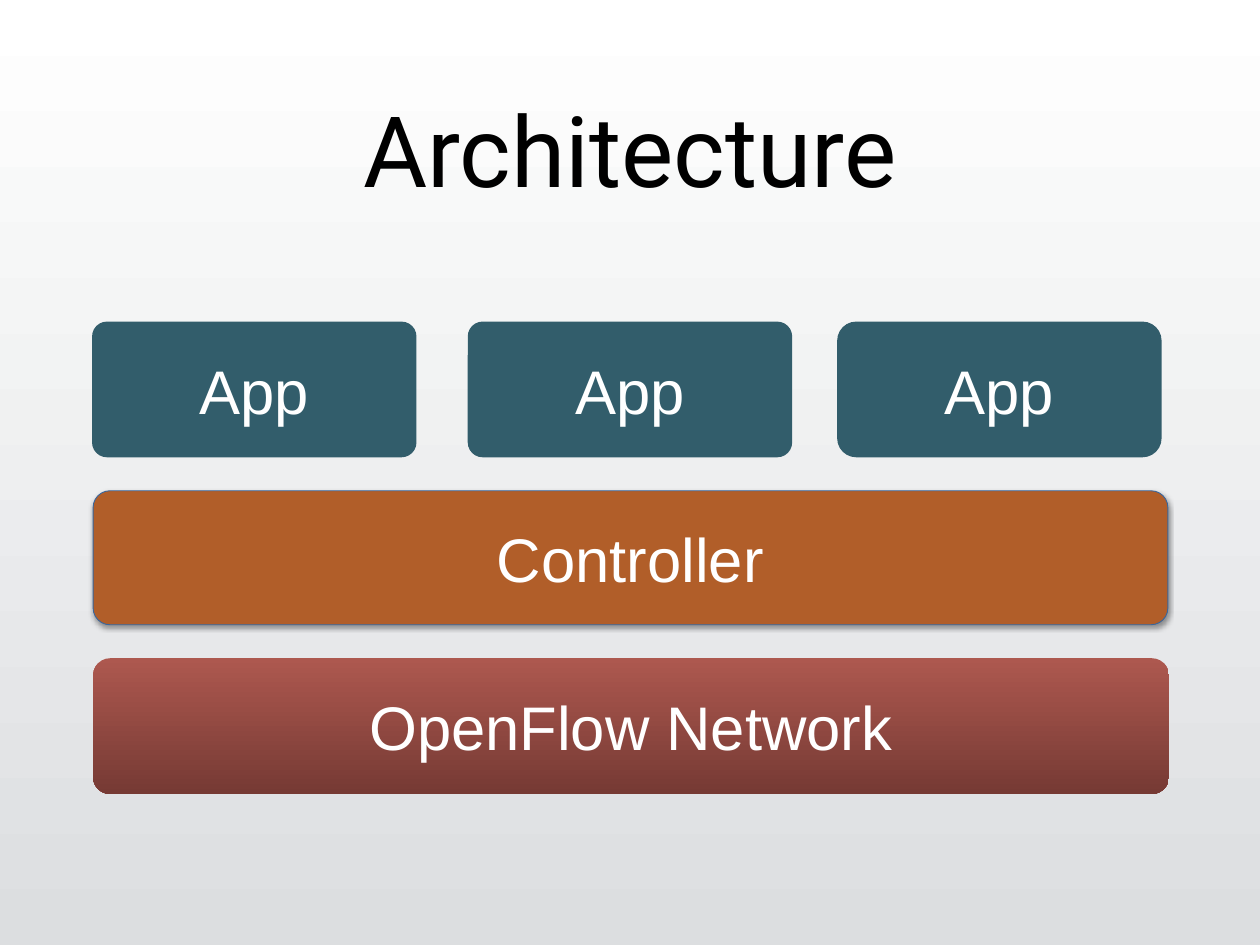
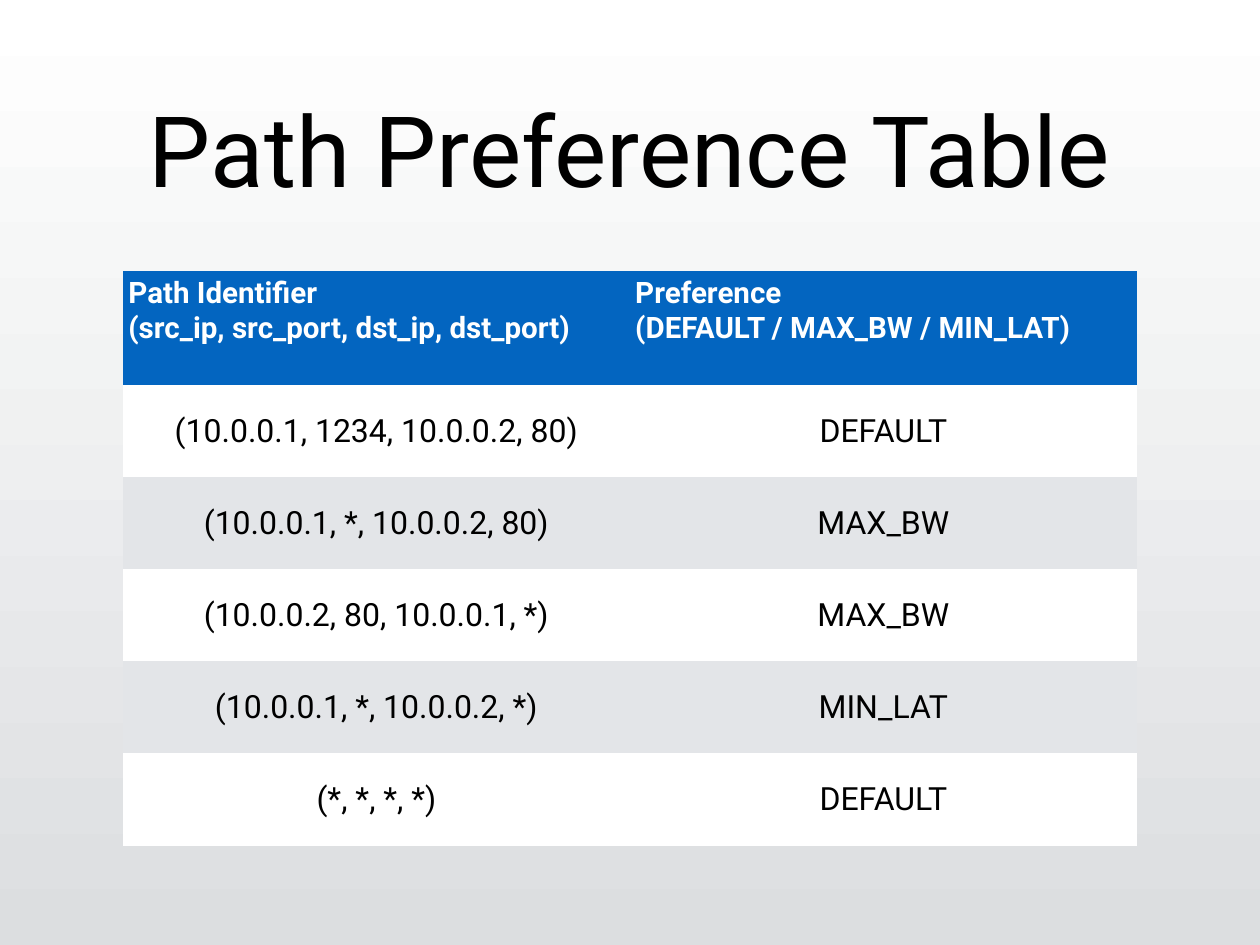
from dataclasses import dataclass

from lxml import etree
from pptx import Presentation
from pptx.dml.color import RGBColor
from pptx.dml.fill import FillFormat
from pptx.enum import shapes, text
from pptx.oxml.ns import qn
from pptx.slide import Slide
from pptx.text.text import TextFrame
from pptx.util import Cm, Pt

WHITE = RGBColor(0xFF, 0xFF, 0xFF)
BLACK = RGBColor(0x00, 0x00, 0x00)
SILVER = RGBColor(0xDC, 0xDE, 0xE0)
TEAL = RGBColor(0x32, 0x5D, 0x6B)
ORANGE = RGBColor(0xB1, 0x5E, 0x29)
BRICK = RGBColor(0xAD, 0x58, 0x4F)
DARK_BRICK = RGBColor(0x76, 0x3A, 0x34)
EDGE_BLUE = RGBColor(0x3A, 0x66, 0x9C)
HEADER_BLUE = RGBColor(0x03, 0x65, 0xC0)
BAND_GREY = RGBColor(0xE3, 0xE5, 0xE8)

HEADING_FONT = "Roboto"
BOX_FONT = "Arial"
PLAIN_TABLE_STYLE = "{2D5ABB26-0587-4C30-8999-92F81FD0307C}"


@dataclass(frozen=True)
class Box:
    label: str
    left: float
    top: float
    width: float
    height: float
    colors: tuple[RGBColor, ...]
    radius: float = 0.125
    raised: bool = False


@dataclass(frozen=True)
class TextStyle:
    font: str
    size: float
    color: RGBColor
    bold: bool = False
    align: text.PP_ALIGN = text.PP_ALIGN.CENTER
    anchor: text.MSO_ANCHOR = text.MSO_ANCHOR.MIDDLE


TITLE_STYLE = TextStyle(HEADING_FONT, 80, BLACK)
BOX_STYLE = TextStyle(BOX_FONT, 50, WHITE)
CELL_STYLE = TextStyle(HEADING_FONT, 26, BLACK)
HEADER_STYLE = TextStyle(HEADING_FONT, 24, WHITE, True,
                         text.PP_ALIGN.LEFT, text.MSO_ANCHOR.TOP)

BOXES = [
    Box("OpenFlow Network", 2.67, 18.87, 30.84, 3.89, (BRICK, DARK_BRICK)),
    *(Box("App", left, 9.22, 9.3, 3.89, (TEAL,), radius)
      for left, radius in ((2.64, 0.11), (13.41, 0.11), (24, 0.14))),
    Box("Controller", 2.67, 14.07, 30.81, 3.84, (ORANGE,), raised=True),
]

ROWS = [
    ("Path Identifier\n(src_ip, src_port, dst_ip, dst_port)",
     "Preference\n(DEFAULT / MAX_BW / MIN_LAT)"),
    ("(10.0.0.1, 1234, 10.0.0.2, 80)", "DEFAULT"),
    ("(10.0.0.1, *, 10.0.0.2, 80)", "MAX_BW"),
    ("(10.0.0.2, 80, 10.0.0.1, *)", "MAX_BW"),
    ("(10.0.0.1, *, 10.0.0.2, *)", "MIN_LAT"),
    ("(*, *, *, *)", "DEFAULT"),
]


def paint(fill: FillFormat, colors: tuple[RGBColor, ...]) -> None:
    if len(colors) == 1:
        fill.solid()
        fill.fore_color.rgb = colors[0]
        return
    fill.gradient()
    fill.gradient_angle = 270
    for stop, color in zip(fill.gradient_stops, colors):
        stop.color.rgb = color


def write(tf: TextFrame, content: str, style: TextStyle) -> None:
    p = tf.paragraphs[0]
    p.text = content
    p.alignment = style.align
    for r in p.runs:
        r.font.name = style.font
        r.font.size = Pt(style.size)
        r.font.bold = style.bold
        r.font.color.rgb = style.color


def write_frame(tf: TextFrame, content: str, style: TextStyle) -> None:
    tf.margin_left = tf.margin_right = tf.margin_top = tf.margin_bottom = 0
    tf.word_wrap = True
    tf.auto_size = text.MSO_AUTO_SIZE.NONE
    tf.vertical_anchor = style.anchor
    write(tf, content, style)


def add_slide(prs: Presentation, title: str) -> Slide:
    s = prs.slides.add_slide(prs.slide_layouts[5])
    sp = s.shapes.title
    sp.left, sp.top, sp.width, sp.height = Cm(2.64), Cm(1.24), Cm(30.84), Cm(6)
    write_frame(sp.text_frame, title, TITLE_STYLE)
    return s


def add_box(s: Slide, box: Box) -> None:
    sp = s.shapes.add_shape(shapes.MSO_SHAPE.ROUNDED_RECTANGLE, Cm(box.left),
                            Cm(box.top), Cm(box.width), Cm(box.height))
    sp.adjustments[0] = box.radius
    paint(sp.fill, box.colors)
    sp.shadow.inherit = False
    if box.raised:
        sp.line.color.rgb = EDGE_BLUE
        sp.line.width = Pt(0.75)
        effects = sp._element.spPr.find(qn("a:effectLst"))
        shadow = etree.SubElement(effects, qn("a:outerShdw"), blurRad=str(Pt(4)),
                                  dist=str(Pt(2)), dir="5400000", rotWithShape="0")
        color = etree.SubElement(shadow, qn("a:srgbClr"), val=str(BLACK))
        etree.SubElement(color, qn("a:alpha"), val="40000")
    else:
        sp.line.fill.background()
    write_frame(sp.text_frame, box.label, BOX_STYLE)


def add_preference_table(s: Slide) -> None:
    header_height, row_height, col_width = Cm(3.27), Cm(2.64), Cm(14.53)
    body_count = len(ROWS) - 1
    table = s.shapes.add_table(len(ROWS), 2, Cm(3.53), Cm(7.77), 2 * col_width,
                               header_height + body_count * row_height).table
    table._tbl.tblPr.find(qn("a:tableStyleId")).text = PLAIN_TABLE_STYLE
    table.horz_banding = False
    for col in table.columns:
        col.width = col_width
    for i, values in enumerate(ROWS):
        table.rows[i].height = row_height if i else header_height
        style = CELL_STYLE if i else HEADER_STYLE
        color = (WHITE if i % 2 else BAND_GREY) if i else HEADER_BLUE
        for j, value in enumerate(values):
            cell = table.cell(i, j)
            paint(cell.fill, (color,))
            cell.margin_left = cell.margin_right = Cm(0.15)
            cell.margin_top = cell.margin_bottom = Cm(0.15)
            cell.vertical_anchor = style.anchor
            write(cell.text_frame, value, style)


def main() -> None:
    prs = Presentation()
    prs.slide_width, prs.slide_height = Cm(36.12), Cm(27.09)
    paint(prs.slide_master.background.fill, (WHITE, SILVER))

    s = add_slide(prs, "Architecture")
    for box in BOXES:
        add_box(s, box)

    s = add_slide(prs, "Path Preference Table")
    add_preference_table(s)

    prs.save("out.pptx")


if __name__ == "__main__":
    main()
